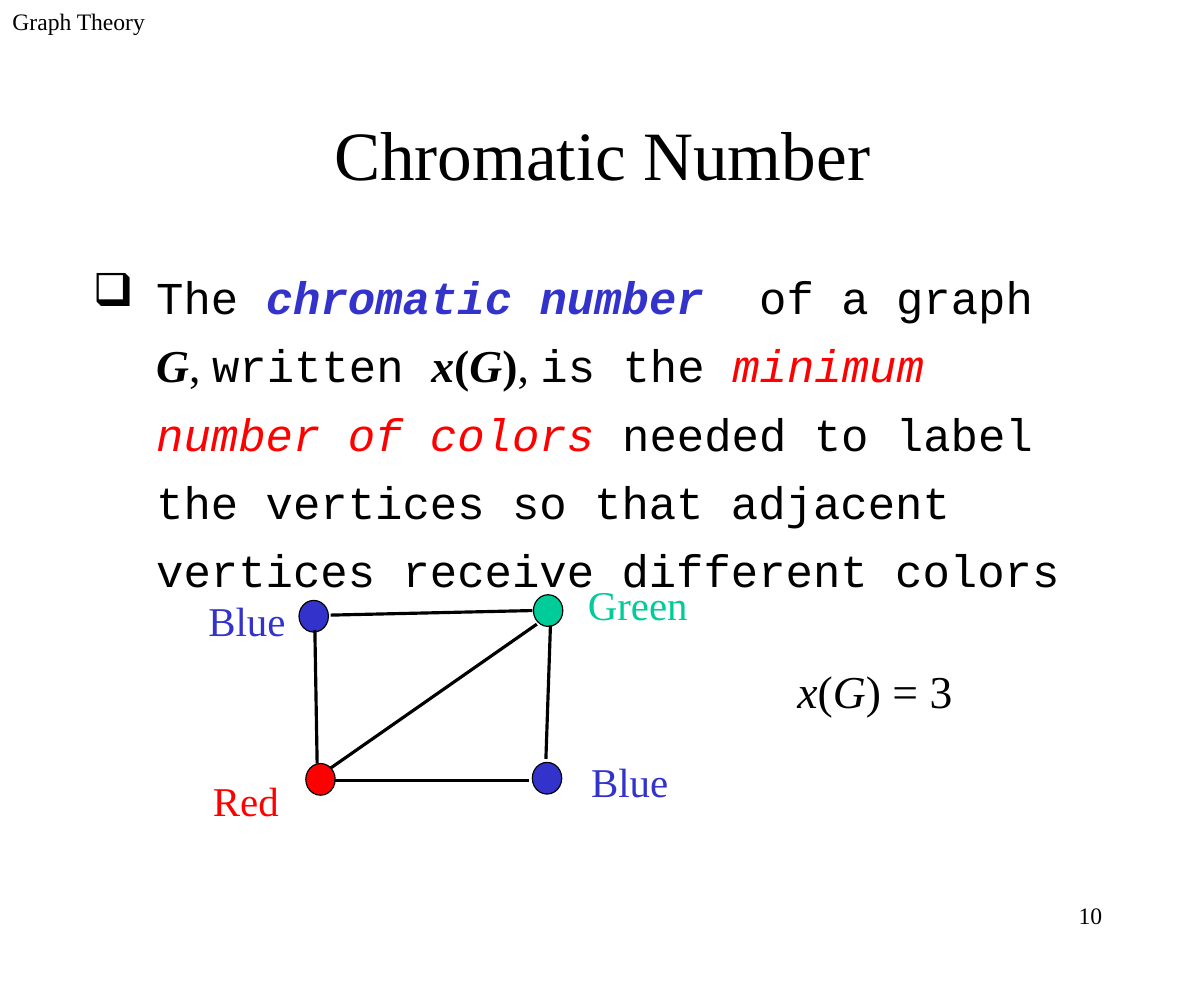
from lxml import etree
from pptx import Presentation
from pptx.dml.color import RGBColor
from pptx.enum import shapes, text
from pptx.oxml import ns
from pptx.util import Inches, Pt

COLORS = {"black": "000000", "blue": "3333CC", "green": "00CC99", "red": "FF0000"}
SERIF, MONO = "Times New Roman", "Courier New"
LEFT, CENTER, RIGHT = text.PP_ALIGN.LEFT, text.PP_ALIGN.CENTER, text.PP_ALIGN.RIGHT

HEADINGS = [
    ("Graph Theory", (0, 0, 2.22, 0.58), 15, LEFT),
    ("10", (7.62, 7.89, 2.22, 0.58), 15, RIGHT),
    ("Chromatic Number", (0.8, 0.77, 9.04, 1.15), 44, CENTER),
]
DEFINITION_BOX = (0.71, 2.19, 9.06, 2.4)
DEFINITION = [
    ("The ", MONO, "black", ""),
    ("chromatic number", MONO, "blue", "bi"),
    ("  of a graph ", MONO, "black", ""),
    ("G", SERIF, "black", "bi"),
    (", ", SERIF, "black", ""),
    ("written ", MONO, "black", ""),
    ("x", SERIF, "black", "bi"),
    ("(", SERIF, "black", "b"),
    ("G", SERIF, "black", "bi"),
    (")", SERIF, "black", "b"),
    (", ", SERIF, "black", ""),
    ("is the ", MONO, "black", ""),
    ("minimum number of colors ", MONO, "red", "i"),
    ("needed to label the vertices so that adjacent vertices receive different colors",
     MONO, "black", ""),
]
RESULT_BOX = (6.93, 5.79, 1.94, 0.59)
RESULT = [("x", SERIF, "black", "i"), ("(", SERIF, "black", ""),
          ("G", SERIF, "black", "i"), (") = 3", SERIF, "black", "")]
VERTEX_SIZE = (0.26, 0.28)
VERTICES = [
    ("Blue", (2.64, 5.3), (1.73, 5.2, 0.92, 0.54)),
    ("Green", (4.71, 5.25), (5.08, 5.06, 1.3, 0.54)),
    ("Red", (2.7, 6.74), (1.77, 6.79, 0.83, 0.54)),
    ("Blue", (4.7, 6.73), (5.11, 6.62, 1.1, 0.54)),
]
EDGES = [
    (2.78, 5.56, 2.8, 6.74),
    (2.95, 6.89, 4.67, 6.89),
    (4.86, 5.52, 4.82, 6.7),
    (2.92, 5.43, 4.7, 5.39),
    (4.74, 5.51, 2.92, 6.78),
]


def inches(values):
    return [Inches(v) for v in values]


def rgb(name):
    return RGBColor.from_string(COLORS[name])


def add_text(slide, box, runs, size, align=LEFT, anchor=text.MSO_ANCHOR.TOP):
    tf = slide.shapes.add_textbox(*inches(box)).text_frame
    tf.word_wrap = True
    tf.vertical_anchor = anchor
    tf.margin_left = tf.margin_right = Inches(0.11)
    tf.margin_top = tf.margin_bottom = Inches(0.06)
    p = tf.paragraphs[0]
    p.alignment = align
    p.font.size = Pt(size)
    for words, font, color, style in runs:
        r = p.add_run()
        r.text = words
        r.font.name = font
        r.font.color.rgb = rgb(color)
        r.font.bold = "b" in style
        r.font.italic = "i" in style
    return p


def add_bullet(p, char, indent):
    pPr = p._p.get_or_add_pPr()
    pPr.set("marL", str(Inches(indent)))
    pPr.set("indent", str(-Inches(indent)))
    bullet = etree.Element(ns.qn("a:buChar"), char=char)
    pPr.find(ns.qn("a:defRPr")).addprevious(bullet)


def add_edge(slide, ends):
    line = slide.shapes.add_connector(shapes.MSO_CONNECTOR.STRAIGHT, *inches(ends))
    line.line.color.rgb = rgb("black")
    line.line.width = Pt(2)
    etree.SubElement(line._element.spPr, ns.qn("a:effectLst"))


def add_vertex(slide, corner, color):
    sp = slide.shapes.add_shape(shapes.MSO_SHAPE.OVAL, *inches(corner + VERTEX_SIZE))
    sp.shadow.inherit = False
    sp.fill.solid()
    sp.fill.fore_color.rgb = rgb(color)
    sp.line.color.rgb = rgb("black")
    sp.line.width = Pt(0.75)


def main():
    """Build the chromatic number slide."""
    prs = Presentation()
    prs.slide_width, prs.slide_height = inches((10.63, 8.66))
    slide = prs.slides.add_slide(prs.slide_layouts[6])

    for words, box, size, align in HEADINGS:
        anchor = text.MSO_ANCHOR.MIDDLE if align == CENTER else text.MSO_ANCHOR.TOP
        add_text(slide, box, [(words, SERIF, "black", "")], size, align, anchor)

    p = add_text(slide, DEFINITION_BOX, DEFINITION, 29)
    p.line_spacing = 1.25
    add_bullet(p, "❑", 0.56)

    for label, corner, box in VERTICES:
        color = label.lower()
        add_vertex(slide, corner, color)
        add_text(slide, box, [(label, SERIF, color, "")], 26)
    for ends in EDGES:
        add_edge(slide, ends)
    add_text(slide, RESULT_BOX, RESULT, 29)

    prs.save("out.pptx")


if __name__ == "__main__":
    main()
